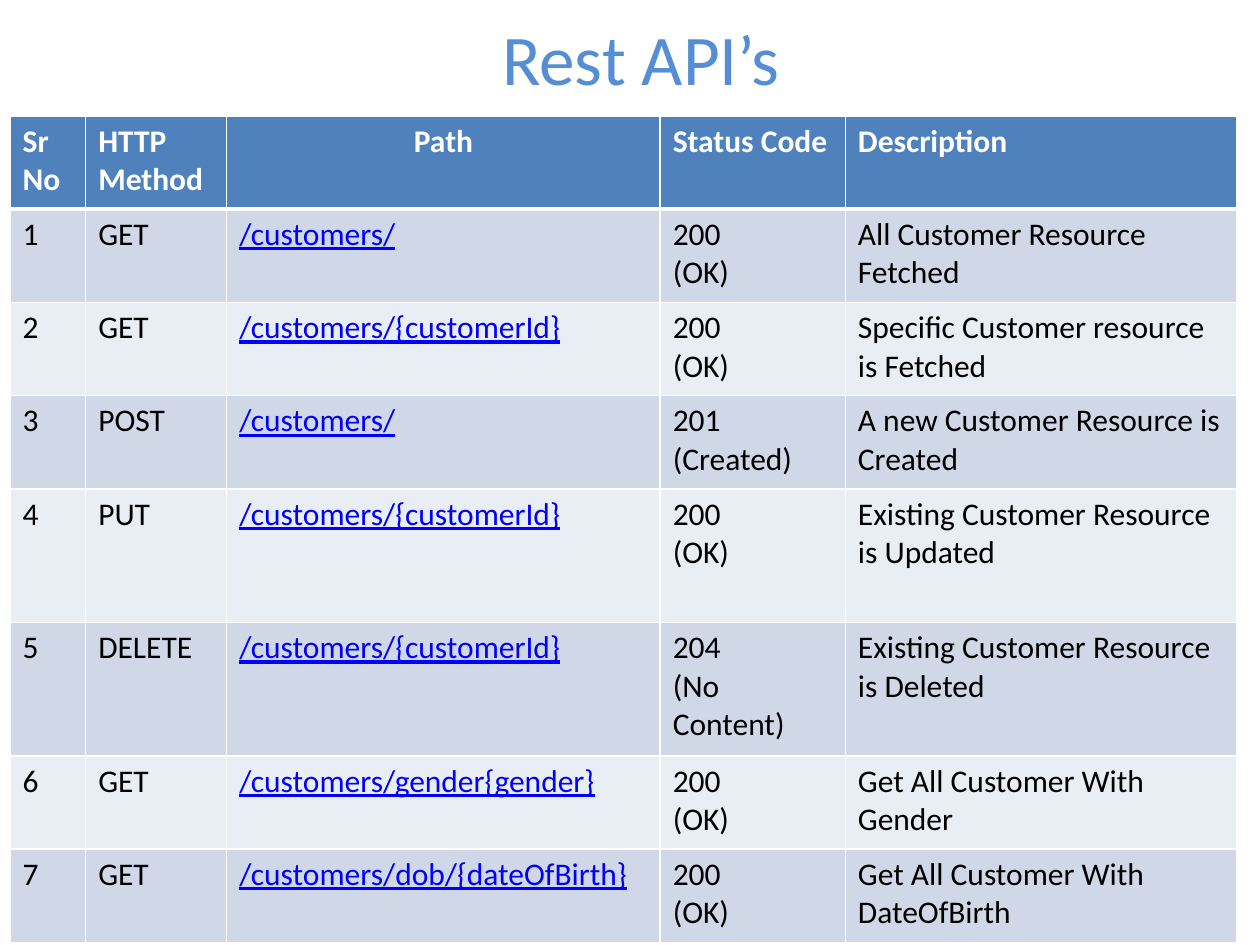
import pptx
import pptx.dml.color
import pptx.enum.text
import pptx.util
from lxml import etree
from pptx.oxml.ns import qn

Inches = pptx.util.Inches
Pt = pptx.util.Pt
RGBColor = pptx.dml.color.RGBColor
ALIGN = pptx.enum.text.PP_ALIGN
ANCHOR = pptx.enum.text.MSO_ANCHOR

COLORS = {
    "title": "558ED5",
    "header": "4F81BD",
    "odd_row": "D0D8E8",
    "even_row": "E9EDF4",
    "white": "FFFFFF",
    "text": "000000",
    "path": "0000FF",
}
FONT = "Calibri"
PATH_COLUMN = 2

COLUMN_WIDTHS = [0.6, 1.12, 3.44, 1.47, 3.11]
ROW_HEIGHTS = [0.74, 0.74, 0.74, 0.74, 1.06, 1.06, 0.74, 0.74]
HEADERS = ["Sr No", "HTTP Method", "Path", "Status Code", "Description"]
ENDPOINTS = [
    ("GET", "/customers/", "200\n(OK)", "All Customer Resource Fetched"),
    ("GET", "/customers/{customerId}", "200\n(OK)", "Specific Customer resource is Fetched"),
    ("POST", "/customers/", "201\n(Created)", "A new Customer Resource is Created"),
    ("PUT", "/customers/{customerId}", "200\n(OK)", "Existing Customer Resource is Updated"),
    ("DELETE", "/customers/{customerId}", "204\n(No Content)", "Existing Customer Resource is Deleted"),
    ("GET", "/customers/gender{gender}", "200\n(OK)", "Get All Customer With Gender"),
    ("GET", "/customers/dob/{dateOfBirth}", "200\n(OK)", "Get All Customer With DateOfBirth"),
]


def format_font(font, size, color, bold=False, underline=False):
    font.name = FONT
    font.size = Pt(size)
    font.bold = bold
    font.underline = underline
    font.color.rgb = RGBColor.from_string(COLORS[color])


def add_border(cell, side, width):
    properties = cell._tc.get_or_add_tcPr()
    line = etree.SubElement(properties, qn(f"a:ln{side}"), w=str(Pt(width)))
    fill = etree.SubElement(line, qn("a:solidFill"))
    etree.SubElement(fill, qn("a:srgbClr"), val=COLORS["white"])


presentation = pptx.Presentation()
presentation.slide_width = Inches(10)
presentation.slide_height = Inches(7.5)
slide = presentation.slides.add_slide(presentation.slide_layouts[5])

# Title
title = slide.shapes.title
title.left, title.top = Inches(0.67), Inches(0.08)
title.width, title.height = Inches(8.83), Inches(0.75)
title.text_frame.text = "Rest API’s"
title.text_frame.vertical_anchor = ANCHOR.MIDDLE
title_paragraph = title.text_frame.paragraphs[0]
title_paragraph.alignment = ALIGN.CENTER
format_font(title_paragraph.runs[0].font, 40.7, "title")

# Table grid
rows = [HEADERS] + [(str(number), *endpoint) for number, endpoint in enumerate(ENDPOINTS, 1)]
table = slide.shapes.add_table(
    len(rows), len(HEADERS), Inches(0.08), Inches(0.92),
    Inches(sum(COLUMN_WIDTHS)), Inches(sum(ROW_HEIGHTS))).table
for column, width in zip(table.columns, COLUMN_WIDTHS):
    column.width = Inches(width)
for row, height in zip(table.rows, ROW_HEIGHTS):
    row.height = Inches(height)

# Table cells
for row_index, values in enumerate(rows):
    is_header = row_index == 0
    row_color = "header" if is_header else "odd_row" if row_index % 2 else "even_row"
    # The rule between the header and the first endpoint is thicker
    border_widths = {"L": 1, "R": 1, "T": 3 if row_index == 1 else 1, "B": 3 if is_header else 1}
    for column_index, value in enumerate(values):
        cell = table.cell(row_index, column_index)
        for side, width in border_widths.items():
            add_border(cell, side, width)
        cell.fill.solid()
        cell.fill.fore_color.rgb = RGBColor.from_string(COLORS[row_color])

        cell.text_frame.text = value
        is_path = column_index == PATH_COLUMN and not is_header
        text_color = "white" if is_header else "path" if is_path else "text"
        for paragraph in cell.text_frame.paragraphs:
            if is_header and column_index == PATH_COLUMN:
                paragraph.alignment = ALIGN.CENTER
            for run in paragraph.runs:
                format_font(run.font, 18, text_color, bold=is_header, underline=is_path)

presentation.save("out.pptx")
